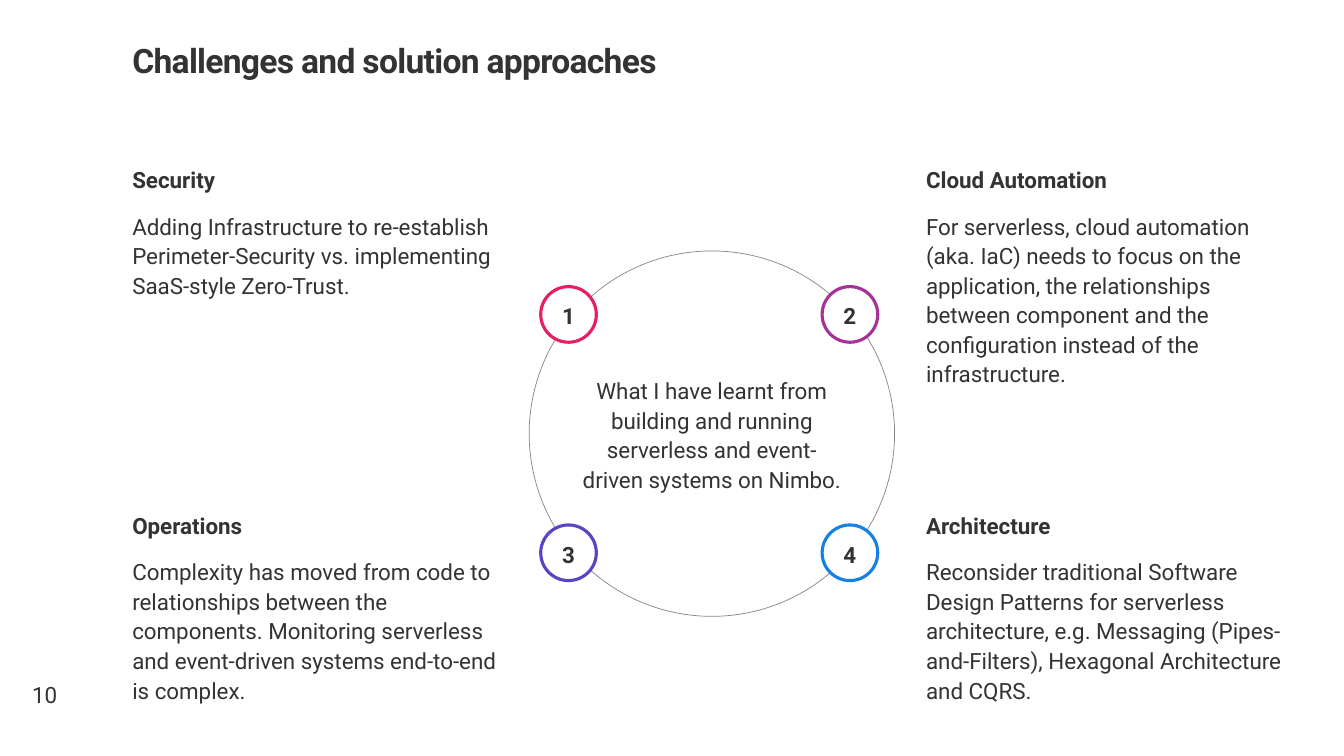
from pptx import Presentation
from pptx import util as u
from pptx.dml.color import RGBColor
from pptx.enum import shapes, text

COLORS = {
    "ink": "333333",
    "ring": "858585",
    "paper": "FFFFFF",
    "security": "E61E64",
    "automation": "A63297",
    "operations": "5944C6",
    "architecture": "1781E3",
}
EMU_PER_PX = 9525
LEFT, CENTER = text.PP_ALIGN.LEFT, text.PP_ALIGN.CENTER
TOP, MIDDLE, BOTTOM = (
    text.MSO_ANCHOR.TOP,
    text.MSO_ANCHOR.MIDDLE,
    text.MSO_ANCHOR.BOTTOM,
)


def px(*lengths):
    return [u.Emu(length * EMU_PER_PX) for length in lengths]


def color(name):
    return RGBColor.from_string(COLORS[name])


def write(paragraph, words, size=16, bold=False, align=LEFT, leading=1.1,
          before=0, tracking=None):
    paragraph.alignment = align
    paragraph.line_spacing = leading
    paragraph.space_before = u.Pt(before)
    run = paragraph.add_run()
    run.text = words
    run.font.name = "Roboto"
    run.font.size = u.Pt(size)
    run.font.bold = bold
    run.font.color.rgb = color("ink")
    if tracking is not None:
        run._r.get_or_add_rPr().set("spc", str(tracking))


class SlideBuilder:
    def __init__(self, slide):
        self.slide = slide

    def frame(self, shape, anchor, margins=(0, 0, 0, 0)):
        frame = shape.text_frame
        frame.word_wrap = True
        frame.vertical_anchor = anchor
        (frame.margin_left, frame.margin_top,
         frame.margin_right, frame.margin_bottom) = px(*margins)
        return frame

    def label(self, box, words, anchor=TOP, margins=(0, 0, 0, 0), **style):
        shape = self.slide.shapes.add_textbox(*px(*box))
        write(self.frame(shape, anchor, margins).paragraphs[0], words, **style)

    def topic(self, box, heading, body, anchor):
        shape = self.slide.shapes.add_textbox(*px(*box))
        frame = self.frame(shape, anchor)
        write(frame.paragraphs[0], heading, bold=True)
        write(frame.add_paragraph(), body, before=12)

    def circle(self, left, top, diameter, words, line, weight, fill=None,
               **style):
        circle = self.slide.shapes.add_shape(
            shapes.MSO_SHAPE.OVAL, *px(left, top, diameter, diameter))
        circle.shadow.inherit = False
        if fill:
            circle.fill.solid()
            circle.fill.fore_color.rgb = color(fill)
        else:
            circle.fill.background()
        circle.line.color.rgb = color(line)
        circle.line.width = u.Pt(weight)
        write(self.frame(circle, MIDDLE).paragraphs[0], words,
              align=CENTER, **style)


TOPICS = [
    ("security", "Security",
     "Adding Infrastructure to re-establish Perimeter-Security vs. "
     "implementing SaaS-style Zero-Trust."),
    ("automation", "Cloud Automation",
     "For serverless, cloud automation (aka. IaC) needs to focus on the "
     "application, the relationships between component and the "
     "configuration instead of the infrastructure."),
    ("operations", "Operations",
     "Complexity has moved from code to relationships between the "
     "components. Monitoring serverless and event-driven systems "
     "end-to-end is complex."),
    ("architecture", "Architecture",
     "Reconsider traditional Software Design Patterns for serverless "
     "architecture, e.g. Messaging (Pipes-and-Filters), Hexagonal "
     "Architecture and CQRS."),
]
TOPIC_LEFTS, TOPIC_TOPS = (126, 882), (156, 466)
BADGE_LEFTS, BADGE_TOPS = (515, 783), (273, 500)


def main():
    deck = Presentation()
    deck.slide_width, deck.slide_height = px(1280, 720)
    builder = SlideBuilder(deck.slides.add_slide(deck.slide_layouts[6]))

    builder.label((20, 639, 45, 37), "10", anchor=BOTTOM,
                  margins=(0, 0, 0, 2), align=CENTER, leading=1.0)
    builder.label((126, 35, 573, 76), "Challenges and solution approaches",
                  margins=(0, 3, 0, 0), size=24, bold=True, leading=1.0,
                  tracking=-50)
    builder.circle(504, 239, 348,
                   "What I have learnt from building and running serverless "
                   "and event-driven systems on Nimbo.",
                   line="ring", weight=0.5)

    for index, (accent, heading, body) in enumerate(TOPICS):
        row, column = divmod(index, 2)
        builder.circle(BADGE_LEFTS[column], BADGE_TOPS[row], 53,
                       str(index + 1), line=accent, weight=2.25,
                       fill="paper", bold=True)
        builder.topic((TOPIC_LEFTS[column], TOPIC_TOPS[row], 348, 204),
                      heading, body, anchor=(TOP, BOTTOM)[row])

    deck.save("out.pptx")


if __name__ == "__main__":
    main()
